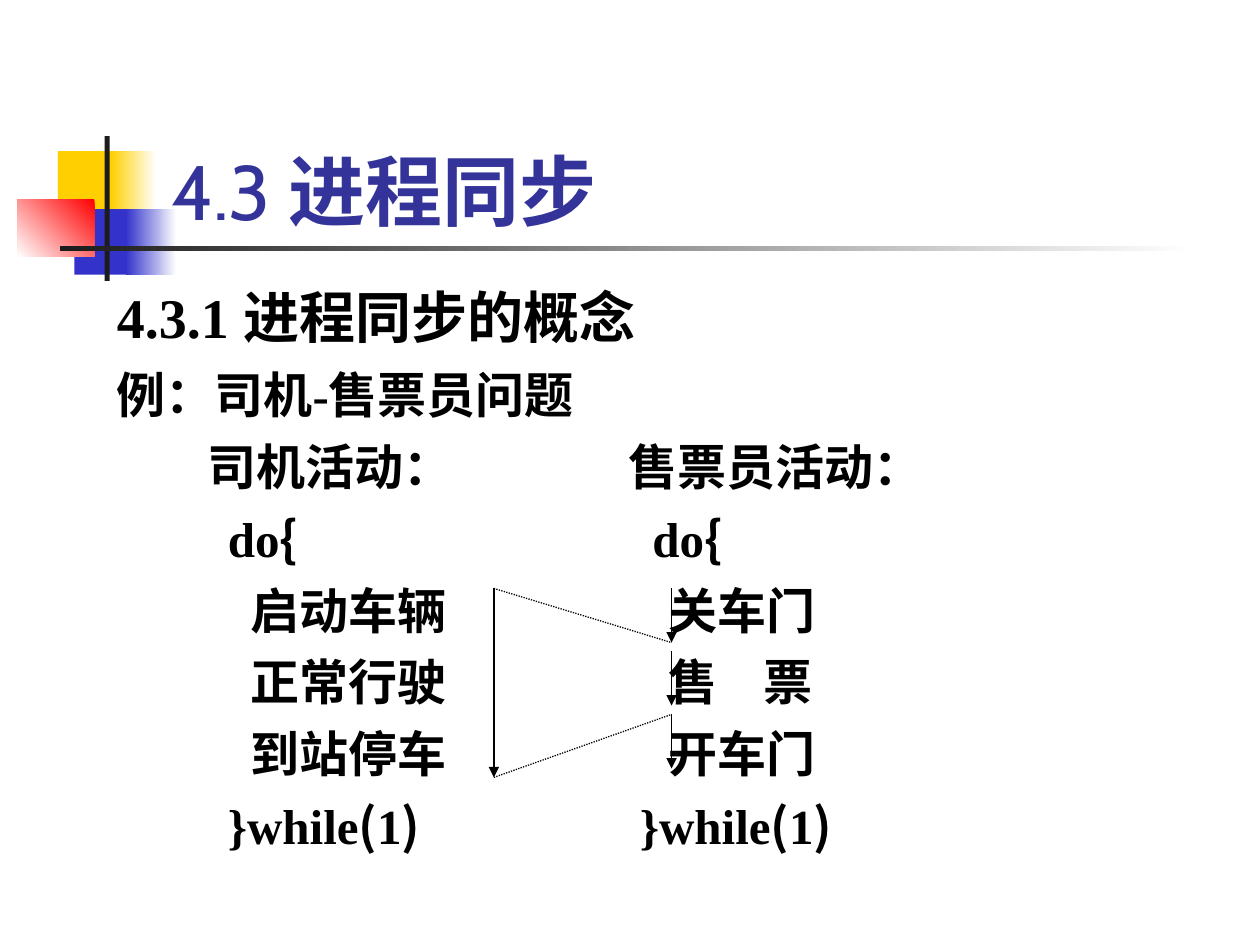
from itertools import groupby

from lxml.etree import SubElement
from pptx import Presentation
from pptx.dml.color import RGBColor
from pptx.enum.dml import MSO_LINE_DASH_STYLE as Dash
from pptx.enum.shapes import MSO_CONNECTOR as Connector, MSO_SHAPE as Shape
from pptx.enum.text import MSO_ANCHOR as Anchor, MSO_AUTO_SIZE as AutoSize, PP_ALIGN as Align
from pptx.oxml.ns import qn
from pptx.util import Inches, Pt

THEME = {
    "title_font": "Cabin", "body_font": "Times New Roman", "cjk_font": "Noto Sans CJK SC",
    "title_size": 44, "heading_size": 32, "body_size": 28,
    "title": "333399", "text": "000000", "line": "000000", "white": "FFFFFF",
    "yellow": "FFCF01", "blue": "3333CC", "red": "FF0000", "dark": "1C1C1C",
}

# Content
TITLE_NUMBER, TITLE_NAME = "4.3 ", "进程同步"
HEADING = "4.3.1 进程同步的概念"
EXAMPLE = "例：司机-售票员问题"
# Driver and conductor columns: text, tab stops in inches
ACTIVITIES = [
    ("\t司机活动：\t售票员活动：", (0.72, 4.06)),
    ("\tdo{\tdo{", (0.88, 4.25)),
    ("\t启动车辆\t关车门", (1.06, 4.38)),
    ("\t正常行驶\t售\t票", (1.06, 4.38, 5.13)),
    ("\t到站停车\t开车门", (1.06, 4.38)),
    ("\t}while(1)\t}while(1)", (0.88, 4.15)),
]

# Ornament: box, fill colours from start to end, gradient angle
ORNAMENT = [
    ((0.46, 1.2, 0.48, 0.52), ("yellow",), 0),
    ((0.88, 1.2, 0.36, 0.52), ("white", "yellow"), 180),
    ((0.59, 1.66, 0.46, 0.52), ("blue",), 0),
    ((1, 1.66, 0.4, 0.52), ("white", "blue"), 180),
    ((0.14, 1.58, 0.61, 0.46), ("red", "white"), 225),
    ((0.83, 1.08, 0.04, 1.15), ("dark",), 0),
    ((0.48, 1.95, 9, 0.04), ("white", "dark"), 180),
]

# Timelines of the two activities
DRIVER_X, CONDUCTOR_X = 3.92, 5.33
START_Y, DRIVER_END_Y = 4.67, 6.17
STEP_COUNT, STEP_PITCH, STEP_LENGTH = 3, 0.5, 0.43


def color(name):
    return RGBColor.from_string(THEME[name])


def add_ornament(slide, box, colors, angle):
    shape = slide.shapes.add_shape(Shape.RECTANGLE, *map(Inches, box))
    shape.shadow.inherit = False
    shape.line.fill.background()
    if len(colors) == 1:
        shape.fill.solid()
        shape.fill.fore_color.rgb = color(colors[0])
    else:
        shape.fill.gradient()
        shape.fill.gradient_angle = angle
        for stop, name in zip(shape.fill.gradient_stops, colors):
            stop.color.rgb = color(name)


def format_frame(frame, anchor, auto_size):
    frame.word_wrap = True
    frame.vertical_anchor, frame.auto_size = anchor, auto_size


def add_text(paragraph, text, *, font, size, ink="text", bold=True):
    # Opening braces and parentheses use the CJK font
    for is_bracket, letters in groupby(text, key=lambda letter: letter in "{()"):
        run = paragraph.add_run()
        run.text = "".join(letters)
        run.font.name = THEME["cjk_font" if is_bracket else font]
        run.font.size, run.font.bold = Pt(THEME[size]), bold
        run.font.color.rgb = color(ink)
        SubElement(run.font._element, qn("a:ea"), typeface=THEME["cjk_font"])


def format_line(paragraph, spacing, before, tabs=()):
    if tabs:
        tab_list = SubElement(paragraph._p.get_or_add_pPr(), qn("a:tabLst"))
        for stop in tabs:
            SubElement(tab_list, qn("a:tab"), pos=str(Inches(stop)), algn="l")
    paragraph.alignment = Align.LEFT
    paragraph.line_spacing, paragraph.space_before = spacing, Pt(before)


def add_line(slide, start, end, arrow=False):
    line = slide.shapes.add_connector(Connector.STRAIGHT, *map(Inches, start + end))
    line.line.width = Pt(0.75)
    line.line.color.rgb = color("line")
    if arrow:
        SubElement(line.line._get_or_add_ln(), qn("a:tailEnd"), type="triangle")
    else:
        line.line.dash_style = Dash.ROUND_DOT
    SubElement(line._element.spPr, qn("a:effectLst"))


def main():
    presentation = Presentation()
    presentation.slide_width, presentation.slide_height = Inches(10), Inches(7.5)
    slide = presentation.slides.add_slide(presentation.slide_layouts[5])

    for ornament in ORNAMENT:
        add_ornament(slide, *ornament)

    # Title, in front of the ornament
    title = slide.shapes.title
    title.left, title.top, title.width, title.height = map(Inches, (1.26, 0.67, 8.52, 1.25))
    slide.shapes._spTree.append(title._element)
    format_frame(title.text_frame, Anchor.BOTTOM, AutoSize.NONE)
    paragraph = title.text_frame.paragraphs[0]
    paragraph.alignment = Align.LEFT
    for text, bold in ((TITLE_NUMBER, False), (TITLE_NAME, True)):
        add_text(paragraph, text, font="title_font", size="title_size", ink="title", bold=bold)

    # Body: a text box, so that the column tab stops take effect
    frame = slide.shapes.add_textbox(*map(Inches, (0.83, 2.25, 8.25, 4.57))).text_frame
    format_frame(frame, Anchor.TOP, AutoSize.SHAPE_TO_FIT_TEXT)
    paragraph = frame.paragraphs[0]
    format_line(paragraph, 0.9, 0)
    add_text(paragraph, HEADING, font="body_font", size="heading_size")
    for text, tabs in [(EXAMPLE, ()), *ACTIVITIES]:
        paragraph = frame.add_paragraph()
        format_line(paragraph, 0.7, 17.5, tabs)
        add_text(paragraph, text, font="body_font", size="body_size")

    # Timelines and the dotted links between them
    add_line(slide, (DRIVER_X, START_Y), (DRIVER_X, DRIVER_END_Y), arrow=True)
    steps = [START_Y + index * STEP_PITCH for index in range(STEP_COUNT)]
    for top in steps:
        add_line(slide, (CONDUCTOR_X, top), (CONDUCTOR_X, top + STEP_LENGTH), arrow=True)
    add_line(slide, (DRIVER_X, START_Y), (CONDUCTOR_X, steps[0] + STEP_LENGTH))
    add_line(slide, (DRIVER_X, DRIVER_END_Y), (CONDUCTOR_X, steps[-1]))

    presentation.save("out.pptx")


if __name__ == "__main__":
    main()
